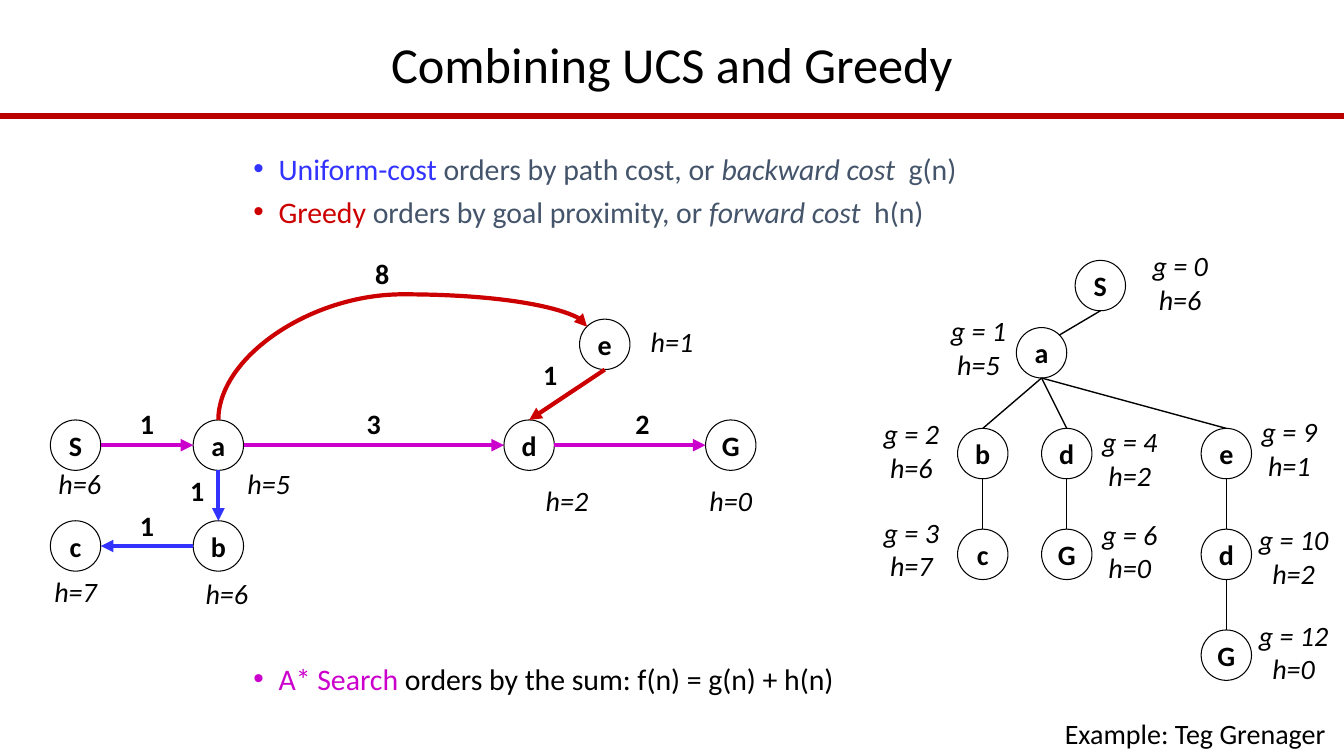
from lxml.etree import SubElement
from pptx import Presentation
from pptx.dml.color import RGBColor
from pptx.enum.shapes import MSO_CONNECTOR, MSO_SHAPE
from pptx.enum.text import MSO_ANCHOR, PP_ALIGN
from pptx.oxml.ns import qn
from pptx.util import Pt

FONT = "Calibri"
NODE_SIZE = 36
COLORS = {
    "black": "000000", "white": "FFFFFF", "slate": "44546A", "rule": "BB0000",
    "uniform": "3333FF", "greedy": "CC0000", "a_star": "CC00CC",
}
SIDES = {"top": (0.5, 0), "left": (0, 0.5), "bottom": (0.5, 1), "right": (1, 0.5),
         "top left": (0.15, 0.15), "top right": (0.85, 0.15)}

GRAPH_NODES = {"S": (36, 300), "a": (138, 300), "d": (360, 300), "G": (504, 300),
               "c": (36, 372), "b": (138, 372), "e": (414, 228)}
GRAPH_EDGES = [
    ("a", "bottom", "b", "top", "uniform"),
    ("b", "left", "c", "right", "uniform"),
    ("e", "bottom", "d", "top", "greedy"),
    ("S", "right", "a", "left", "a_star"),
    ("a", "right", "d", "left", "a_star"),
    ("d", "right", "G", "left", "a_star"),
]
HEURISTICS = [("h=5", 156, 330, 72), ("h=6", 132, 408, 60), ("h=2", 378, 342, 54),
              ("h=6", 24, 330, 66), ("h=0", 486, 342, 72), ("h=7", 24, 407, 60),
              ("h=1", 450, 228, 60)]
EDGE_COSTS = [("1", 84, 286.5, 42), ("8", 258, 180, 30), ("1", 84, 360, 42),
              ("1", 120, 335, 42), ("2", 438, 286.5, 42), ("3", 246, 286.5, 42),
              ("1", 372, 252, 42)]

# Each key spells the route from the root, so its last letter is the node.
# Values: node left and top; cost text with its left, top and width.
TREE = {
    "S": (768, 186, "g = 0 h=6", 810, 174, 66),
    "Sa": (726, 234, "g = 1 h=5", 666, 220.5, 66),
    "Sab": (684, 306, "g = 2 h=6", 618, 294, 66),
    "Sabc": (684, 378, "g = 3 h=7", 618, 364.5, 66),
    "Sad": (744, 306, "g = 4 h=2", 774, 300, 66),
    "SadG": (744, 378, "g = 6 h=0", 774, 366, 66),
    "Sae": (858, 306, "g = 9 h=1", 888, 292.5, 66),
    "Saed": (858, 378, "g = 10 h=2", 888, 370, 72),
    "SaedG": (858, 450, "g = 12 h=0", 888, 438, 72),
}


def color(name):
    return RGBColor.from_string(COLORS[name])


def set_font(font, size, color_name="black", bold=False, italic=False):
    font.name = FONT
    font.size = Pt(size)
    font.bold = bold
    font.italic = italic
    font.color.rgb = color(color_name)


def add_box(page, left, top, width, height):
    box = page.shapes.add_textbox(Pt(left), Pt(top), Pt(width), Pt(height))
    box.text_frame.word_wrap = True
    return box


def add_label(page, text, left, top, width, height=31, align=PP_ALIGN.CENTER, **style):
    para = add_box(page, left, top, width, height).text_frame.paragraphs[0]
    para.text = text
    para.alignment = align
    set_font(para.font, 20, **style)


def add_bullets(page, top, height, items):
    """Each item is a list of (text, color name, italic) spans."""
    frame = add_box(page, 174, top, 648, height).text_frame
    for index, spans in enumerate(items):
        para = frame.add_paragraph() if index else frame.paragraphs[0]
        para.line_spacing = 0.8
        para.space_before = Pt(10 if index else 0)
        properties = para._p.get_or_add_pPr()
        properties.set("marL", str(Pt(18)))
        properties.set("indent", str(-Pt(18)))
        bullet_color = SubElement(properties, qn("a:buClr"))
        SubElement(bullet_color, qn("a:srgbClr")).set("val", COLORS[spans[0][1]])
        SubElement(properties, qn("a:buFont")).set("typeface", "Arial")
        SubElement(properties, qn("a:buChar")).set("char", "•")
        for text, color_name, italic in spans:
            span = para.add_run()
            span.text = text
            set_font(span.font, 21.3, color_name, italic=italic)


def add_node(page, letter, left, top):
    node = page.shapes.add_shape(MSO_SHAPE.OVAL, Pt(left), Pt(top),
                                 Pt(NODE_SIZE), Pt(NODE_SIZE))
    node.shadow.inherit = False
    node.fill.solid()
    node.fill.fore_color.rgb = color("white")
    node.line.color.rgb = color("black")
    node.line.width = Pt(0.75)
    frame = node.text_frame
    frame.word_wrap = False
    frame.vertical_anchor = MSO_ANCHOR.MIDDLE
    para = frame.paragraphs[0]
    para.text = letter
    para.alignment = PP_ALIGN.CENTER
    set_font(para.font, 20, bold=True)
    return node


def site(corner, side):
    """Point on a node, given its top-left corner."""
    return tuple(start + part * NODE_SIZE for start, part in zip(corner, SIDES[side]))


def add_line(page, start, end, color_name, width, arrow=False, kind=MSO_CONNECTOR.STRAIGHT):
    line = page.shapes.add_connector(kind, *map(Pt, start + end))
    line.line.color.rgb = color(color_name)
    line.line.width = Pt(width)
    if arrow:
        SubElement(line.line._get_or_add_ln(), qn("a:tailEnd")).set("type", "triangle")
    SubElement(line._element.spPr, qn("a:effectLst"))
    return line


def add_arc(page, start_node, end_node, start, end):
    """Curve that leaves upward, peaks above the end node and drops to it."""
    width, height = start[1] - end[1], end[0] - start[0]
    left = (start[0] + end[0] - width) / 2
    top = (start[1] + end[1] - height) / 2
    arc = add_line(page, start, end, "greedy", 3, True, MSO_CONNECTOR.CURVE)
    arc.begin_connect(start_node, 0)
    arc.end_connect(end_node, 1)
    arc.begin_x, arc.begin_y = Pt(left), Pt(top)
    arc.end_x, arc.end_y = Pt(left + width), Pt(top + height)
    properties = arc._element.spPr
    properties.find(qn("a:xfrm")).set("rot", str(270 * 60000))
    guides = properties.find(qn("a:prstGeom")).get_or_add_avLst()
    guide = SubElement(guides, qn("a:gd"))
    guide.set("name", "adj1")
    guide.set("fmla", "val 134800")


def add_title(page, text):
    title = page.shapes.title
    title.left, title.top, title.width, title.height = map(Pt, (66, 24.5, 828, 47.5))
    title.text_frame.vertical_anchor = MSO_ANCHOR.MIDDLE
    para = title.text_frame.paragraphs[0]
    para.text = text
    para.alignment = PP_ALIGN.CENTER
    para.line_spacing = 0.9
    set_font(para.font, 36)


def add_graph(page):
    nodes = {letter: add_node(page, letter, *corner)
             for letter, corner in GRAPH_NODES.items()}
    for tail, tail_side, head, head_side, color_name in GRAPH_EDGES:
        add_line(page, site(GRAPH_NODES[tail], tail_side),
                 site(GRAPH_NODES[head], head_side), color_name, 3, arrow=True)
    add_arc(page, nodes["a"], nodes["e"],
            site(GRAPH_NODES["a"], "top"), site(GRAPH_NODES["e"], "top left"))
    for label in HEURISTICS:
        add_label(page, *label, italic=True)
    for label in EDGE_COSTS:
        add_label(page, *label, bold=True)


def add_tree(page):
    for route, (left, top, costs, *place) in TREE.items():
        add_node(page, route[-1], left, top)
        add_label(page, costs, *place, height=55.5, italic=True)
        parent = TREE.get(route[:-1])
        if parent:
            side = "top right" if route == "Sa" else "top"
            add_line(page, site(parent[:2], "bottom"), site((left, top), side), "black", 1)


def main():
    deck = Presentation()
    deck.slide_width, deck.slide_height = Pt(960), Pt(540)
    page = deck.slides.add_slide(deck.slide_layouts[5])
    add_line(page, (0, 83), (960, 83), "rule", 4)
    add_title(page, "Combining UCS and Greedy")
    add_bullets(page, 109, 60, [
        [("Uniform-cost ", "uniform", False), ("orders by path cost, or ", "slate", False),
         ("backward cost  ", "slate", True), ("g(n)", "slate", False)],
        [("Greedy ", "greedy", False), ("orders by goal proximity, or ", "slate", False),
         ("forward cost  ", "slate", True), ("h(n)", "slate", False)],
    ])
    add_bullets(page, 473, 30, [
        [("A* Search", "a_star", False),
         (" orders by the sum: f(n) = g(n) + h(n)", "black", False)],
    ])
    add_graph(page)
    add_tree(page)
    add_label(page, "Example: Teg Grenager", 732, 508.5, 222, align=PP_ALIGN.RIGHT)
    deck.save("out.pptx")


if __name__ == "__main__":
    main()
